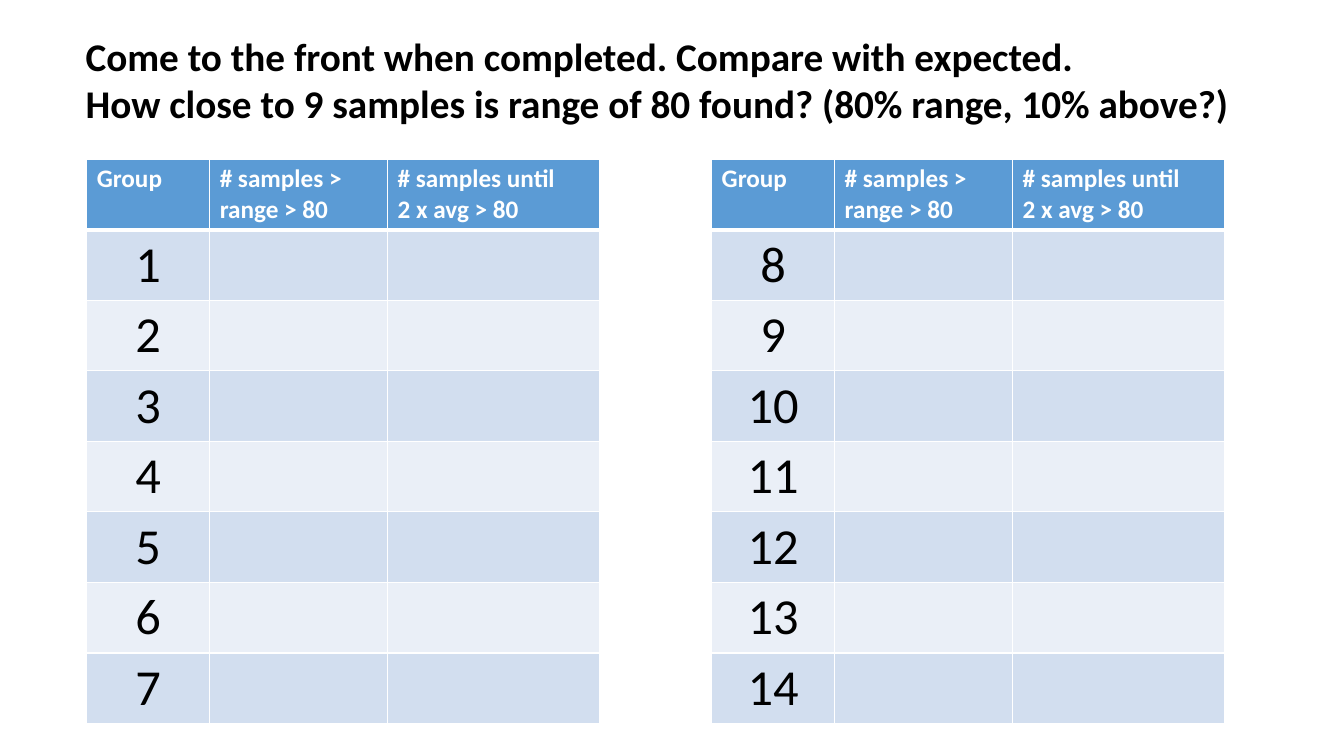
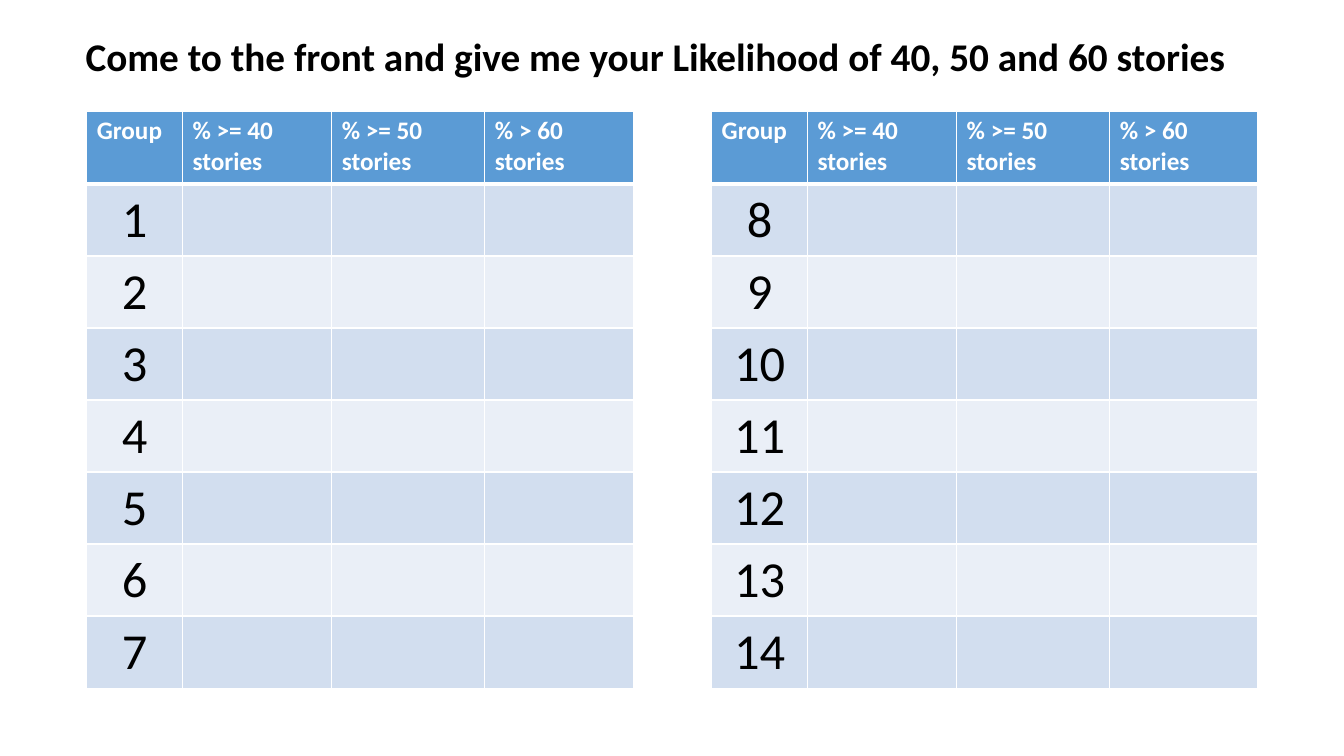
"""Two slides of paired group tables for collecting sampling results."""
from lxml import etree
from pptx import Presentation
from pptx.dml.color import RGBColor
from pptx.enum.text import MSO_ANCHOR, PP_ALIGN
from pptx.oxml.ns import qn
from pptx.util import Inches, Pt

MIDDLE = MSO_ANCHOR.MIDDLE
CENTER = PP_ALIGN.CENTER
FONT = "Calibri"
BLACK, WHITE, HEADER_BLUE = "000000", "FFFFFF", "5B9BD5"
BANDS = ["EAEFF7", "D2DEEF"]
GROUPS = 7
ROWS = GROUPS + 1
TITLE_LEFT, TITLE_TOP, TITLE_WIDTH = 5.63, 3.6, 88.2
TABLE_LEFT, TABLE_STEP = 6.45, 46.5

PAGES = [
    {
        "title": [
            "Come to the front when completed. Compare with expected.",
            "How close to 9 samples is range of 80 found? (80% range, 10% above?)",
        ],
        "title_height": 13.87,
        "top": 21.07,
        "row_height": 9.33,
        "columns": [9.15, 13.24, 15.75],
        "headers": [["Group"], ["# samples > range > 80"], ["# samples until", "2 x avg > 80"]],
    },
    {
        "title": ["Come to the front and give me your Likelihood of 40, 50 and 60 stories"],
        "title_height": 7.6,
        "top": 14.8,
        "row_height": 9.53,
        "columns": [7.13, 11.1, 11.4, 11.03],
        "headers": [["Group"], ["% >= 40 stories"], ["% >= 50 stories"], ["% > 60 stories"]],
    },
]


def color(hex_text):
    return RGBColor.from_string(hex_text)


def write(frame, lines, size, hex_text, bold):
    para = frame.paragraphs[0]
    for number, line in enumerate(lines):
        if number:
            para.add_line_break()
        span = para.add_run()
        span.text = line
        span.font.name = FONT
        span.font.size = Pt(size)
        span.font.bold = bold
        span.font.color.rgb = color(hex_text)
    return para


deck = Presentation()
deck.slide_width, deck.slide_height = Inches(13.33), Inches(7.5)
across, down = deck.slide_width / 100, deck.slide_height / 100

for content in PAGES:
    page = deck.slides.add_slide(deck.slide_layouts[6])
    box = page.shapes.add_textbox(
        int(TITLE_LEFT * across), int(TITLE_TOP * down),
        int(TITLE_WIDTH * across), int(content["title_height"] * down))
    box.text_frame.word_wrap = True
    write(box.text_frame, content["title"], 28, BLACK, True)

    columns = content["columns"]
    for side in range(2):
        table = page.shapes.add_table(
            ROWS, len(columns),
            int((TABLE_LEFT + side * TABLE_STEP) * across), int(content["top"] * down),
            int(sum(columns) * across), int(ROWS * content["row_height"] * down)).table
        for column, share in zip(table.columns, columns):
            column.width = int(share * across)

        for row in range(ROWS):
            for col, header in enumerate(content["headers"]):
                cell = table.cell(row, col)
                cell.margin_top = cell.margin_bottom = Inches(0.04)
                edges = {"lnL": 1, "lnR": 1, "lnT": 3 if row == 1 else 1, "lnB": 1 if row else 3}
                for edge, weight in edges.items():
                    line = etree.SubElement(
                        cell._tc.get_or_add_tcPr(), qn("a:" + edge), w=str(Pt(weight)))
                    paint = etree.SubElement(line, qn("a:solidFill"))
                    etree.SubElement(paint, qn("a:srgbClr"), val=WHITE)
                cell.fill.solid()
                cell.fill.fore_color.rgb = color(BANDS[row % 2] if row else HEADER_BLUE)
                if row == 0:
                    write(cell.text_frame, header, 18, WHITE, True)
                elif col == 0:
                    cell.vertical_anchor = MIDDLE
                    group = str(side * GROUPS + row)
                    write(cell.text_frame, [group], 36, BLACK, False).alignment = CENTER

deck.save("out.pptx")
